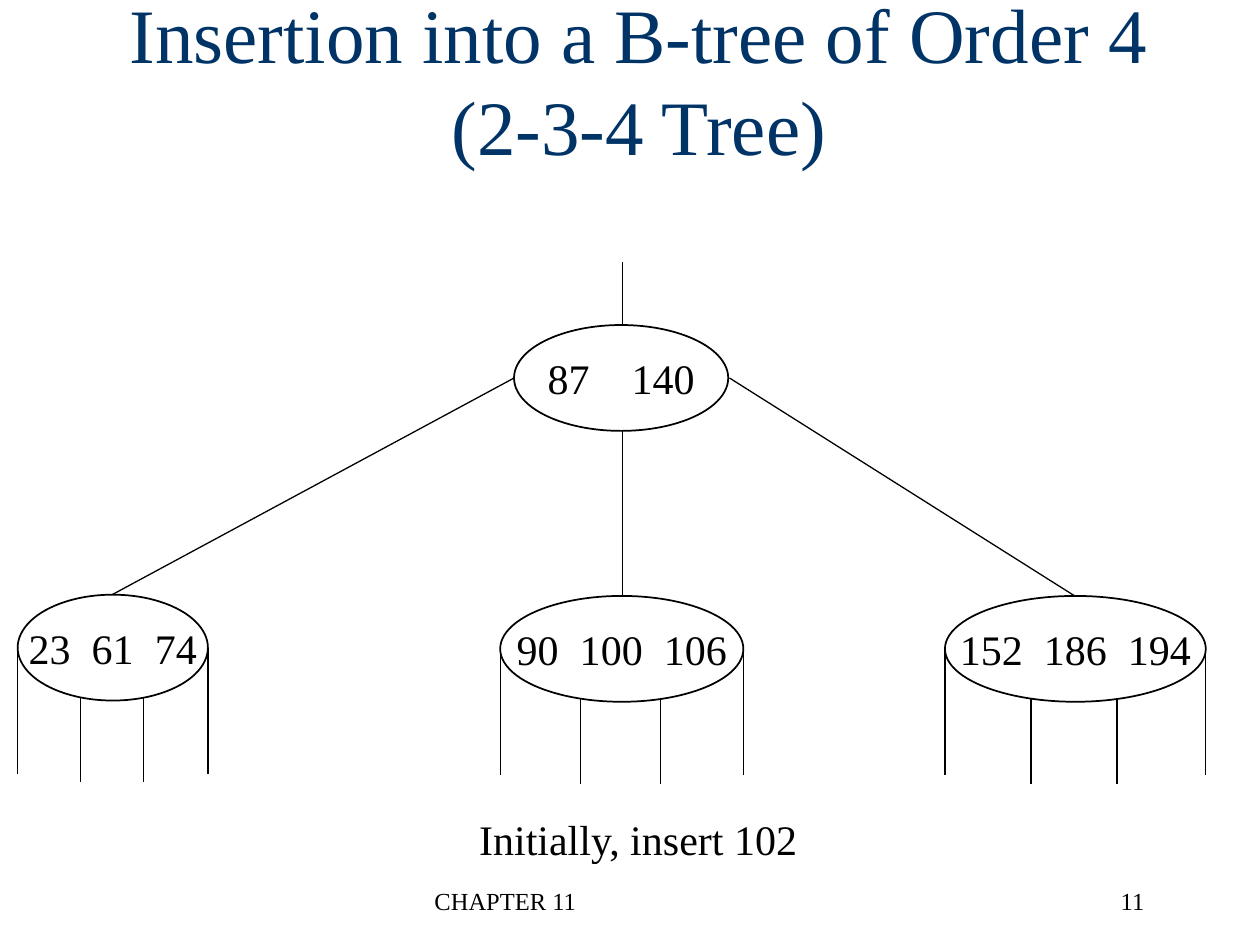
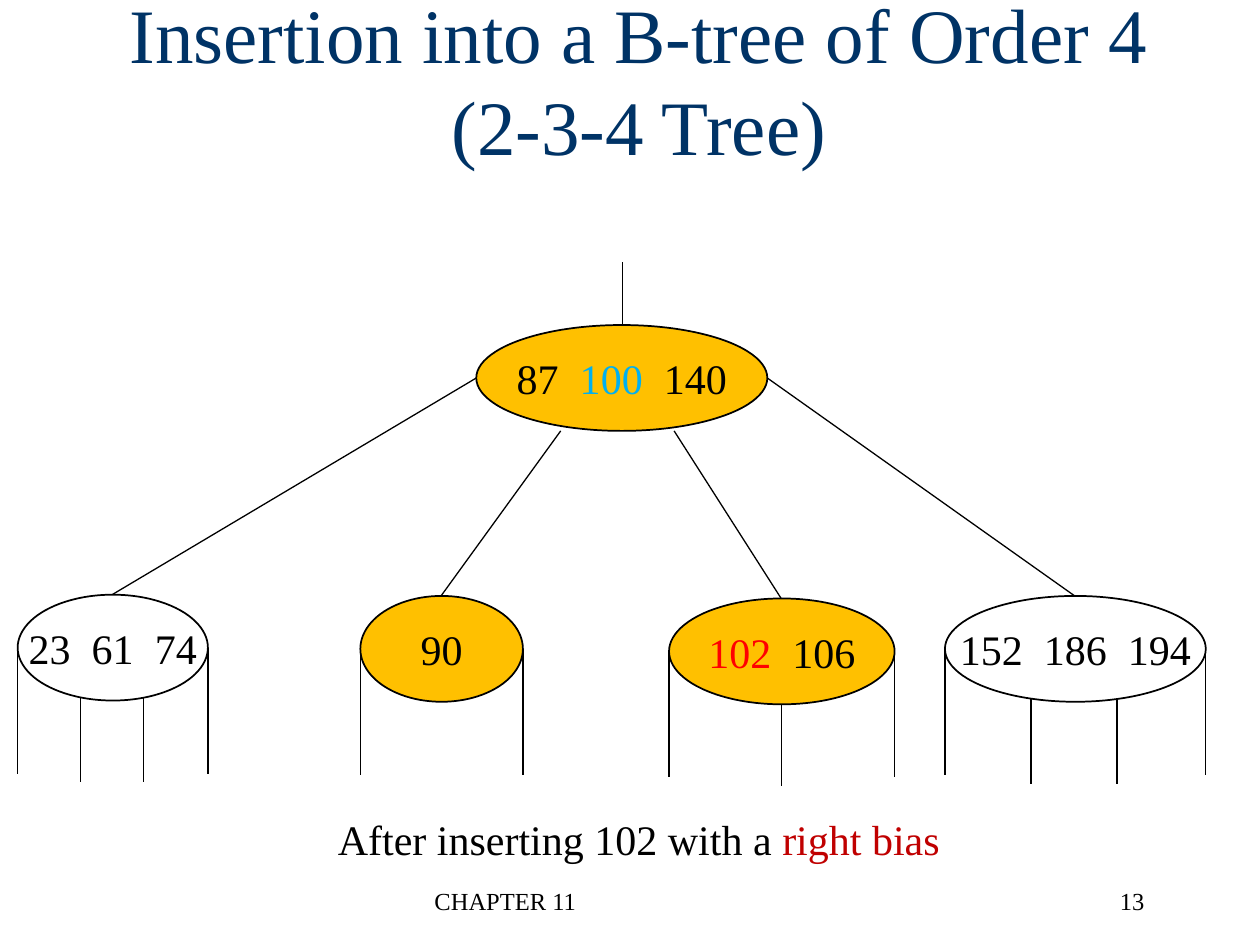
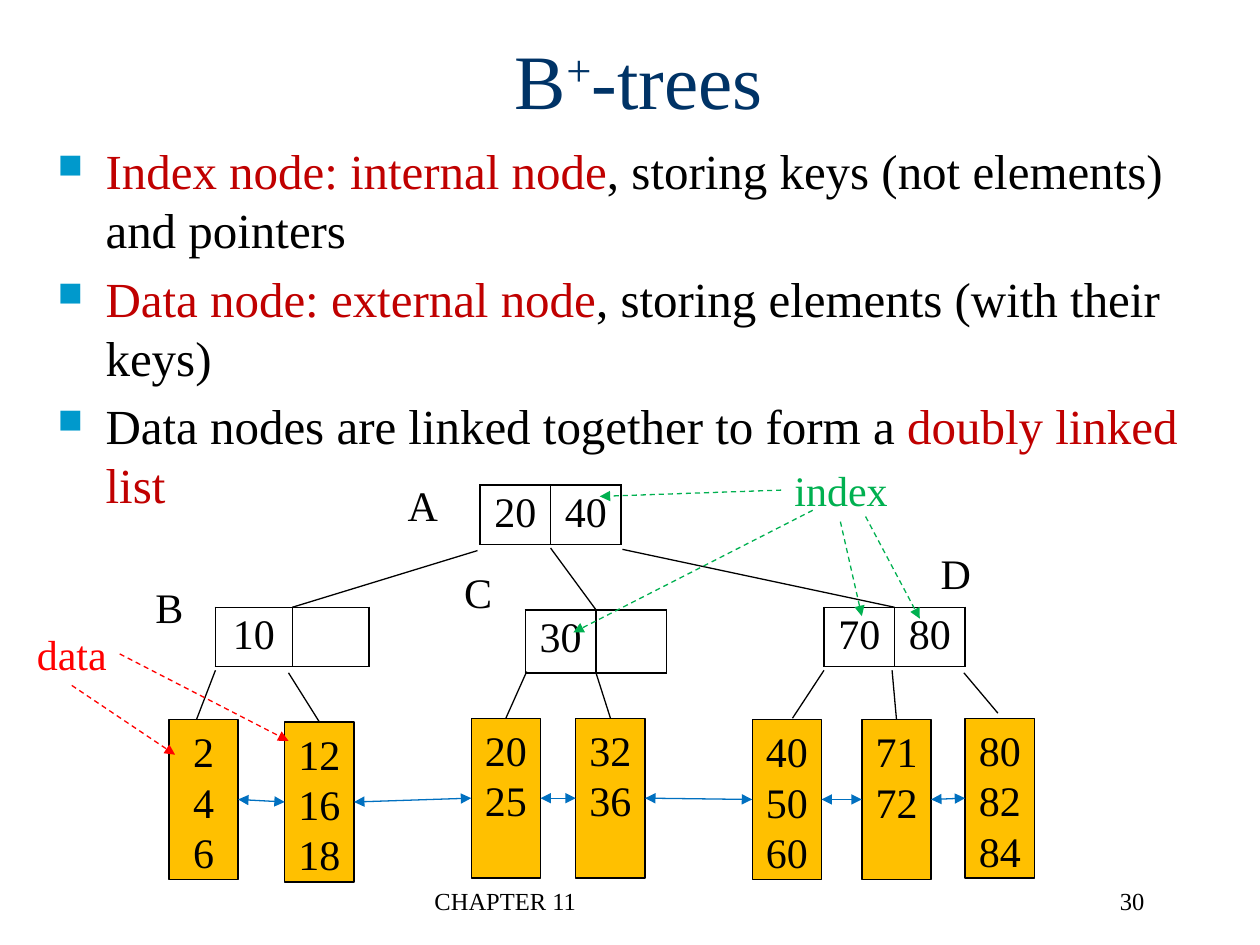
from lxml import etree
from pptx import Presentation
from pptx.dml.color import RGBColor
from pptx.enum.dml import MSO_LINE
from pptx.enum.shapes import MSO_CONNECTOR, MSO_SHAPE
from pptx.enum.text import MSO_ANCHOR, MSO_AUTO_SIZE, PP_ALIGN
from pptx.oxml.ns import qn
from pptx.util import Inches, Pt

FONT = "Times New Roman"
BLACK = RGBColor(0x00, 0x00, 0x00)
WHITE = RGBColor(0xFF, 0xFF, 0xFF)
NAVY = RGBColor(0x00, 0x33, 0x66)
AMBER = RGBColor(0xFF, 0xC0, 0x00)
SKY = RGBColor(0x00, 0xB0, 0xF0)
RED = RGBColor(0xFF, 0x00, 0x00)
DARK_RED = RGBColor(0xC0, 0x00, 0x00)
GREEN = RGBColor(0x00, 0xB0, 0x50)
BLUE = RGBColor(0x00, 0x70, 0xC0)
BULLET = RGBColor(0x00, 0x99, 0xCC)

NODE_H = 0.84
SPACE_PT = 6  # width of one space at 24 pt
INSERTION_TITLE = "Insertion into a B-tree of Order 4 (2-3-4 Tree)"


def add_run(p, text, size=24, color=BLACK):
    r = p.add_run()
    r.text = text
    r.font.name = FONT
    r.font.size = Pt(size)
    r.font.color.rgb = color
    return r


def add_text(s, box, parts, size=24, align=PP_ALIGN.CENTER, wrap=False):
    """Add a one-paragraph text box from (text, colour) parts."""
    tf = s.shapes.add_textbox(*map(Inches, box)).text_frame
    tf.word_wrap = wrap
    p = tf.paragraphs[0]
    p.alignment = align
    for text, color in parts:
        add_run(p, text, size, color)


def add_slide(prs, number, title_parts):
    s = prs.slides.add_slide(prs.slide_layouts[5])
    title = s.shapes.title
    title.left, title.top, title.width, title.height = map(Inches, (0.64, 0, 8.86, 1.25))
    tf = title.text_frame
    tf.auto_size = MSO_AUTO_SIZE.NONE
    tf.vertical_anchor = MSO_ANCHOR.MIDDLE
    p = tf.paragraphs[0]
    p.alignment = PP_ALIGN.CENTER
    for text, baseline in title_parts:
        r = add_run(p, text, 44, NAVY)
        if baseline:
            r._r.get_or_add_rPr().set("baseline", str(baseline))
    add_text(s, (3.35, 6.98, 3.17, 0.5), [("CHAPTER 11", BLACK)], 14, PP_ALIGN.LEFT, True)
    add_text(s, (7.1, 6.98, 2.08, 0.5), [(str(number), BLACK)], 14, PP_ALIGN.RIGHT, True)
    return s


def add_line(s, start, end, color=BLACK, dashed=False, arrows=()):
    """Draw a straight line; arrows names the ends (headEnd, tailEnd) that get a tip."""
    c = s.shapes.add_connector(MSO_CONNECTOR.STRAIGHT, *map(Inches, (*start, *end)))
    c.line.color.rgb = color
    c.line.width = Pt(0.75)
    if dashed:
        c.line.dash_style = MSO_LINE.DASH
    ln = c.line._get_or_add_ln()
    for tag in arrows:
        etree.SubElement(ln, qn(f"a:{tag}"), type="triangle")
    etree.SubElement(c._element.spPr, qn("a:effectLst"))
    return c


def add_filled(s, kind, box, fill, line_pt):
    sp = s.shapes.add_shape(kind, *map(Inches, box))
    sp.shadow.inherit = False
    sp.fill.solid()
    sp.fill.fore_color.rgb = fill
    sp.line.color.rgb = BLACK
    sp.line.width = Pt(line_pt)
    sp.text_frame.word_wrap = False
    return sp


def add_node(s, left, top, width, keys, fill=WHITE, spaces=2):
    """Draw an oval node; a key is its text or a (text, colour) pair."""
    sp = add_filled(s, MSO_SHAPE.OVAL, (left, top, width, NODE_H), fill, 1)
    sp.text_frame.vertical_anchor = MSO_ANCHOR.MIDDLE
    p = sp.text_frame.paragraphs[0]
    p.alignment = PP_ALIGN.CENTER
    for i, key in enumerate(keys):
        if i:
            gap = add_run(p, " ")
            gap._r.get_or_add_rPr().set("spc", str((spaces - 1) * SPACE_PT * 100))
        text, color = key if isinstance(key, tuple) else (key, BLACK)
        add_run(p, text, 24, color)


def add_leaf(s, left, top, width, keys, fill=WHITE):
    """Draw a node with one open pointer on each side of every key."""
    share = round(1 / len(keys), 2)
    for x in (left, left + width):
        add_line(s, (x, top + NODE_H / 2), (x, top + 1.42))
    for i in range(1, len(keys)):
        x = left + width * share * i
        add_line(s, (x, top + 0.82), (x, top + 1.49))
    add_node(s, left, top, width, keys, fill)


def add_tree(s, root, leaves, edges):
    """Draw root and leaves; edges run from a root point to a leaf top."""
    add_line(s, (4.94, 2.08), (4.94, 2.58))
    for start, end in edges:
        add_line(s, start, end)
    add_node(s, **root)
    for leaf in leaves:
        add_leaf(s, *leaf)


def add_index_node(s, left, top, col_w, row_h, keys):
    frame = s.shapes.add_table(1, 2, *map(Inches, (left, top, 2 * col_w, row_h)))
    table = frame.table
    table.first_row = table.horz_banding = False
    for cell, key in zip(table.iter_cells(), keys):
        cell.margin_top, cell.margin_bottom = Inches(0.04), Inches(0.02)
        tcPr = cell._tc.get_or_add_tcPr()
        for side in ("lnL", "lnR", "lnT", "lnB"):
            ln = etree.SubElement(tcPr, qn(f"a:{side}"), w=str(Pt(1)))
            solid = etree.SubElement(ln, qn("a:solidFill"))
            etree.SubElement(solid, qn("a:srgbClr"), val=str(BLACK))
        cell.fill.solid()
        cell.fill.fore_color.rgb = WHITE
        if key:
            p = cell.text_frame.paragraphs[0]
            p.alignment = PP_ALIGN.CENTER
            add_run(p, key)


def add_data_node(s, left, top, keys):
    sp = add_filled(s, MSO_SHAPE.RECTANGLE, (left, top, 0.55, 1.27), AMBER, 0.75)
    tf = sp.text_frame
    tf.vertical_anchor = MSO_ANCHOR.TOP
    for i, key in enumerate(keys):
        p = tf.add_paragraph() if i else tf.paragraphs[0]
        p.alignment = PP_ALIGN.CENTER
        add_run(p, key)
    return sp


def add_bullets(s, box, items):
    tf = s.shapes.add_textbox(*map(Inches, box)).text_frame
    tf.word_wrap = True
    for i, parts in enumerate(items):
        p = tf.add_paragraph() if i else tf.paragraphs[0]
        pPr = p._p.get_or_add_pPr()
        pPr.set("marL", str(Inches(0.38)))
        pPr.set("indent", str(Inches(-0.38)))
        if i:
            p.space_before = Pt(5.6)
        color = etree.SubElement(pPr, qn("a:buClr"))
        etree.SubElement(color, qn("a:srgbClr"), val=str(BULLET))
        etree.SubElement(pPr, qn("a:buSzPct"), val="70000")
        etree.SubElement(pPr, qn("a:buChar"), char="■")
        for text, text_color in parts:
            add_run(p, text, 28, text_color)


def build_b_plus_slide(prs):
    s = add_slide(prs, 30, [("B", 0), ("+", 30000), ("-trees", 0)])
    add_bullets(s, (0.36, 1.07, 9.41, 5.7), [
        [("Index node: internal node", DARK_RED),
         (", storing keys (not elements) and pointers", BLACK)],
        [("Data node: external node", DARK_RED),
         (", storing elements (with their keys)", BLACK)],
        [("Data nodes are linked together to form a ", BLACK),
         ("doubly linked list", DARK_RED)],
    ])

    for index_node in [
        (3.81, 3.85, 0.56, 0.47, ("20", "40")),
        (1.71, 4.82, 0.61, 0.47, ("10", "")),
        (4.17, 4.84, 0.56, 0.5, ("30", "")),
        (6.54, 4.82, 0.56, 0.47, ("70", "80")),
    ]:
        add_index_node(s, *index_node)
    for start, end in [((3.79, 4.37), (2.32, 4.82)), ((4.37, 4.35), (4.73, 4.84)),
                       ((4.94, 4.36), (7.1, 4.82))]:
        add_line(s, start, end)

    data_nodes = [add_data_node(s, *node) for node in [
        (1.34, 5.71, ("2", "4", "6")),
        (2.26, 5.73, ("12", "16", "18")),
        (3.74, 5.7, ("20", "25")),
        (4.57, 5.7, ("32", "36")),
        (5.97, 5.71, ("40", "50", "60")),
        (6.84, 5.71, ("71", "72")),
        (7.66, 5.7, ("80", "82", "84")),
    ]]
    pointers = [
        ((1.71, 5.32), (1.56, 5.71), False),
        ((2.29, 5.34), (2.54, 5.73), True),
        ((4.18, 5.33), (4.01, 5.7), True),
        ((4.73, 5.34), (4.85, 5.7), True),
        ((6.54, 5.32), (6.29, 5.7), False),
        ((7.08, 5.32), (7.1, 5.71), True),
        ((7.65, 5.34), (7.92, 5.66), False),
    ]
    for node, (start, end, joined) in zip(data_nodes, pointers):
        pointer = add_line(s, start, end)
        if joined:
            pointer.end_connect(node, 0)
    for node, following in zip(data_nodes, data_nodes[1:]):
        link = add_line(s, (0, 0), (1, 1), BLUE, arrows=("headEnd", "tailEnd"))
        link.begin_connect(node, 3)
        link.end_connect(following, 1)

    for left, top, width, label, color in [
        (3.13, 3.76, 0.45, "A", BLACK),
        (1.13, 4.57, 0.43, "B", BLACK),
        (3.58, 4.45, 0.43, "C", BLACK),
        (7.36, 4.3, 0.45, "D", BLACK),
        (6.2, 3.64, 0.95, "index", GREEN),
        (0.19, 4.94, 0.76, "data", RED),
    ]:
        add_text(s, (left, top, width, 0.5), [(label, color)])
    for start, end, color in [
        ((6.2, 3.89), (4.76, 3.94), GREEN),
        ((6.45, 4.05), (4.55, 5.02), GREEN),
        ((6.67, 4.14), (6.84, 4.89), GREEN),
        ((6.87, 4.1), (7.3, 4.91), GREEN),
        ((0.57, 5.44), (1.39, 5.99), RED),
        ((0.95, 5.19), (2.29, 5.88), RED),
    ]:
        add_line(s, start, end, color, dashed=True, arrows=("tailEnd",))


def main():
    prs = Presentation()
    prs.slide_width, prs.slide_height = Inches(10), Inches(7.5)
    first_leaf = (0.14, 4.72, 1.51, ("23", "61", "74"))
    last_leaf = (7.5, 4.73, 2.07, ("152", "186", "194"))
    first_top, last_top = (0.89, 4.72), (8.53, 4.73)

    s = add_slide(prs, 11, [(INSERTION_TITLE, 0)])
    add_tree(
        s,
        dict(left=4.08, top=2.58, width=1.7, keys=("87", "140"), spaces=4),
        [first_leaf, (3.97, 4.73, 1.93, ("90", "100", "106")), last_leaf],
        [((4.08, 3), first_top), ((4.94, 3.42), (4.94, 4.73)), ((5.79, 3), last_top)],
    )
    add_text(s, (3.69, 6.41, 2.75, 0.5), [("Initially, insert 102", BLACK)])

    s = add_slide(prs, 13, [(INSERTION_TITLE, 0)])
    add_tree(
        s,
        dict(left=3.78, top=2.58, width=2.31, keys=("87", ("100", SKY), "140"), fill=AMBER),
        [first_leaf, (2.86, 4.73, 1.29, ("90",), AMBER),
         (5.31, 4.75, 1.79, (("102", RED), "106"), AMBER), last_leaf],
        [((3.78, 3), first_top), ((4.45, 3.42), (3.5, 4.73)),
         ((5.35, 3.42), (6.2, 4.75)), ((6.09, 3), last_top)],
    )
    add_text(s, (2.56, 6.41, 5.02, 0.5),
             [("After inserting 102 with a ", BLACK), ("right bias", DARK_RED)])

    build_b_plus_slide(prs)
    prs.save("out.pptx")


if __name__ == "__main__":
    main()
